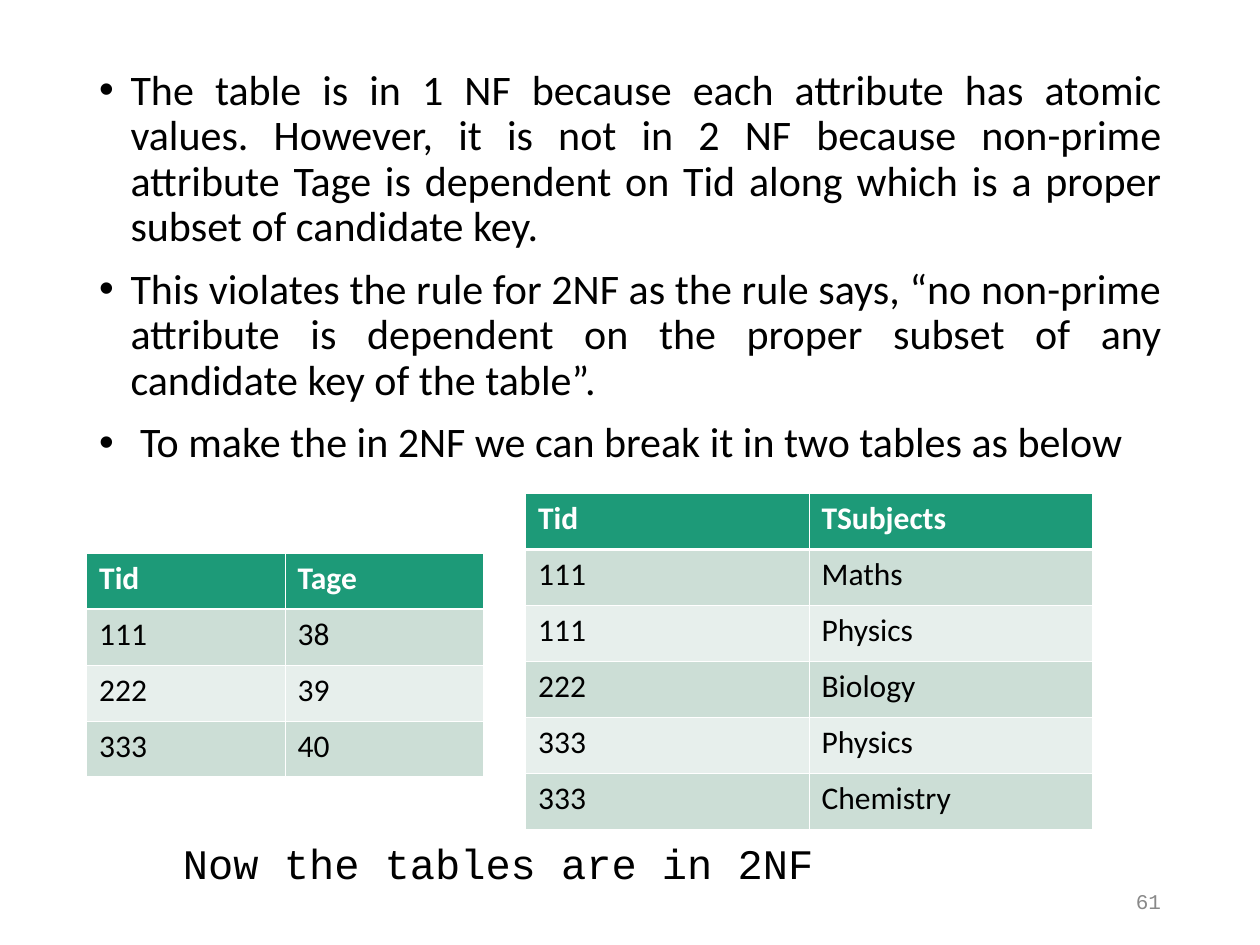
import pptx
import pptx.util
import pptx.dml.color
import pptx.enum.text
import pptx.oxml
import pptx.oxml.ns

Pt = pptx.util.Pt
ALIGN = pptx.enum.text.PP_ALIGN
RGB = pptx.dml.color.RGBColor.from_string
NS = pptx.oxml.ns.nsdecls("a")
COLORS = {
    "text": "000000",
    "header": "1D9A78",
    "band_dark": "CCDED6",
    "band_light": "E7EFEC",
    "white": "FFFFFF",
    "number": "898989",
}


def write_text(paragraph, text, font="Calibri", size=24, color="text", bold=False,
               align=ALIGN.LEFT, bullet=False):
    paragraph.alignment = align
    if bullet:
        properties = paragraph._p.get_or_add_pPr()
        properties.set("marL", str(Pt(18)))
        properties.set("indent", str(-Pt(18)))
        for xml in (
            f'<a:buClr {NS}><a:srgbClr val="{COLORS[color]}"/></a:buClr>',
            f'<a:buFont {NS} typeface="Arial"/>',
            f'<a:buChar {NS} char="•"/>',
        ):
            properties.append(pptx.oxml.parse_xml(xml))
    run = paragraph.add_run()
    run.text = text
    run.font.name = font
    run.font.size = Pt(size)
    run.font.bold = bold
    run.font.color.rgb = RGB(COLORS[color])


presentation = pptx.Presentation()
presentation.slide_width = Pt(720)
presentation.slide_height = Pt(540)
slide = presentation.slides.add_slide(presentation.slide_layouts[6])

explanation = slide.shapes.add_textbox(Pt(49.5), Pt(36), Pt(621.5), Pt(451)).text_frame
explanation.word_wrap = True
points = [
    "The table is in 1 NF because each attribute has atomic values. However, it is not in 2 NF "
    "because non-prime attribute Tage is dependent on Tid along which is a proper subset of "
    "candidate key. ",
    "This violates the rule for 2NF as the rule says, “no non-prime attribute is dependent on "
    "the proper subset of any candidate key of the table”.",
    " To make the in 2NF we can break it in two tables as below",
]
for index, point in enumerate(points):
    paragraph = explanation.add_paragraph() if index else explanation.paragraphs[0]
    write_text(paragraph, point, align=ALIGN.JUSTIFY, bullet=True)
    paragraph.line_spacing = 0.9
    if index:
        paragraph.space_before = Pt(10)

page_number = slide.shapes.add_textbox(Pt(508.5), Pt(500.5), Pt(162), Pt(28.5)).text_frame
page_number.word_wrap = True
page_number.vertical_anchor = pptx.enum.text.MSO_ANCHOR.MIDDLE
write_text(page_number.paragraphs[0], "61", font="Courier New", size=12, color="number",
           align=ALIGN.RIGHT)

teacher_ages = [("Tid", "Tage"), ("111", "38"), ("222", "39"), ("333", "40")]
teacher_subjects = [
    ("Tid", "TSubjects"),
    ("111", "Maths"),
    ("111", "Physics"),
    ("222", "Biology"),
    ("333", "Physics"),
    ("333", "Chemistry"),
]
row_height = 32
for records, left, top, column_width in (
    (teacher_ages, 49.5, 316, 113.4),
    (teacher_subjects, 300.3, 282, 162),
):
    table = slide.shapes.add_table(
        len(records), 2, Pt(left), Pt(top), Pt(2 * column_width), Pt(row_height * len(records))
    ).table
    table.horz_banding = False
    for column in table.columns:
        column.width = Pt(column_width)
    for row, record in enumerate(records):
        table.rows[row].height = Pt(row_height)
        fill = "header" if row == 0 else "band_dark" if row % 2 else "band_light"
        for column, value in enumerate(record):
            cell = table.cell(row, column)
            write_text(cell.text_frame.paragraphs[0], value, size=18, bold=row == 0,
                       color="text" if row else "white")
            for side in "LRTB":
                under_header = (row, side) in ((0, "B"), (1, "T"))
                width = Pt(1.47 if under_header else 0.45)
                cell._tc.get_or_add_tcPr().append(pptx.oxml.parse_xml(
                    f'<a:ln{side} {NS} w="{width}"><a:solidFill>'
                    f'<a:srgbClr val="{COLORS["white"]}"/></a:solidFill></a:ln{side}>'
                ))
            cell.fill.solid()
            cell.fill.fore_color.rgb = RGB(COLORS[fill])

conclusion = slide.shapes.add_textbox(Pt(97.5), Pt(475), Pt(374.5), Pt(36)).text_frame
conclusion.word_wrap = False
conclusion.auto_size = pptx.enum.text.MSO_AUTO_SIZE.SHAPE_TO_FIT_TEXT
write_text(conclusion.paragraphs[0], "Now the tables are in 2NF", font="Courier New")

presentation.save("out.pptx")
